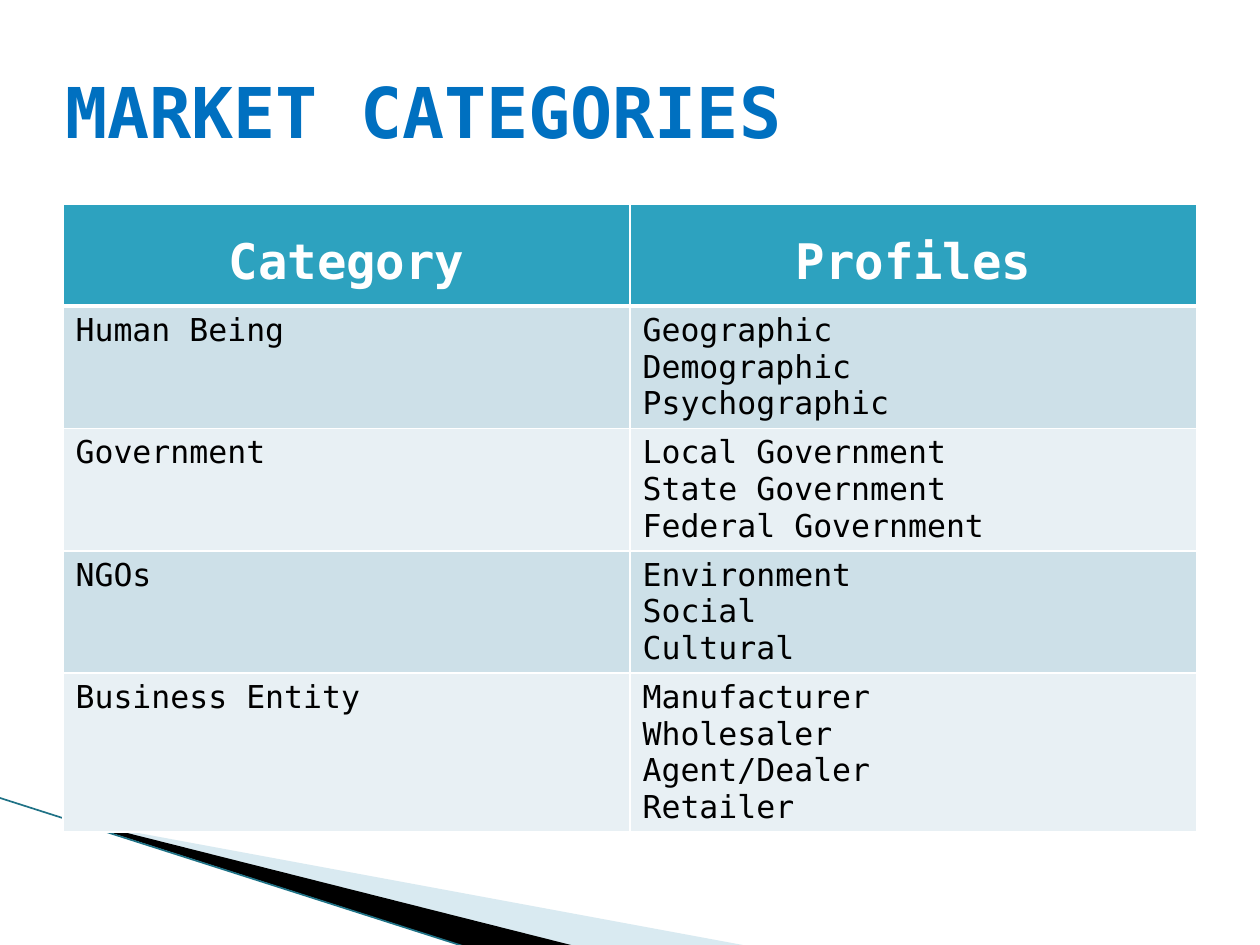
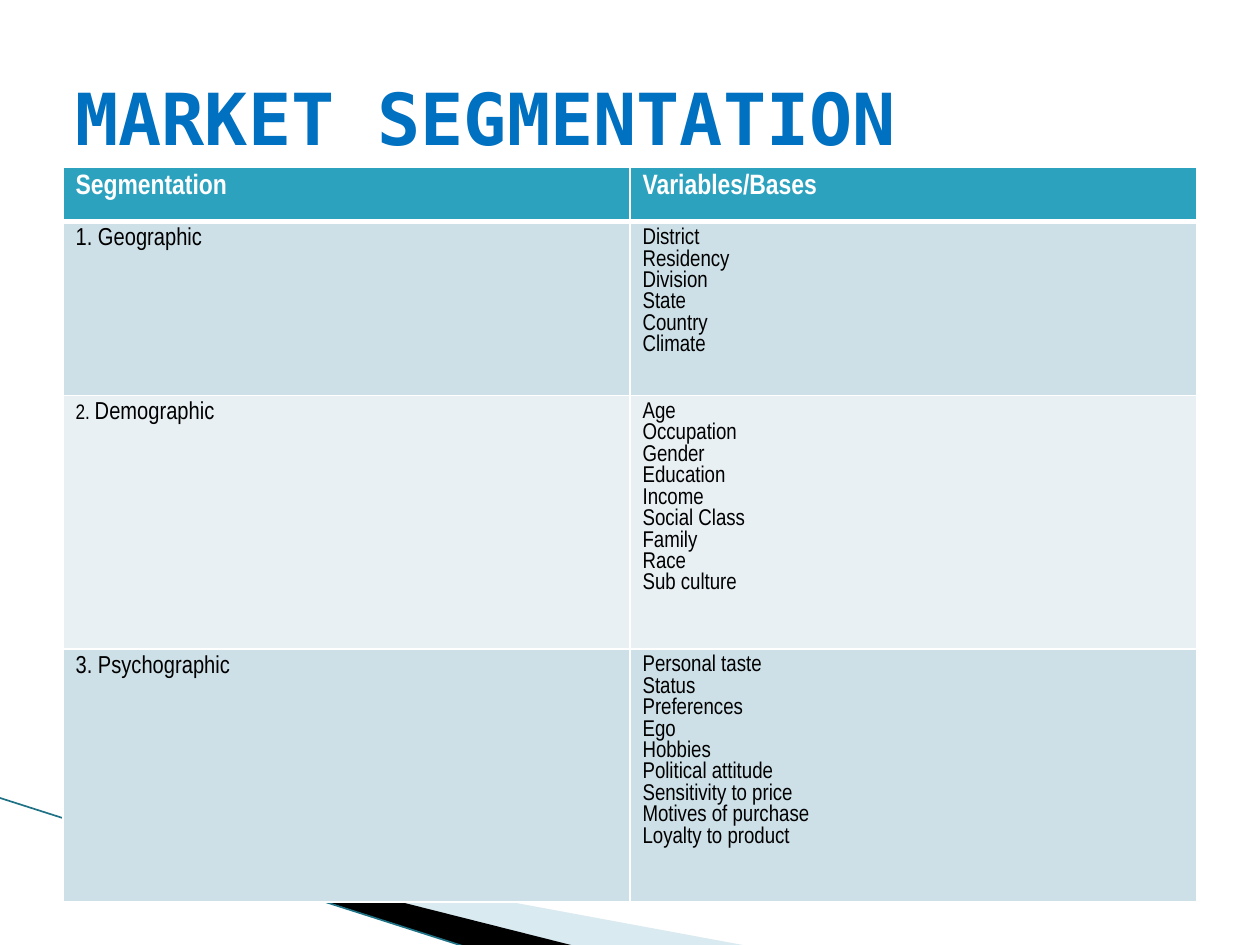
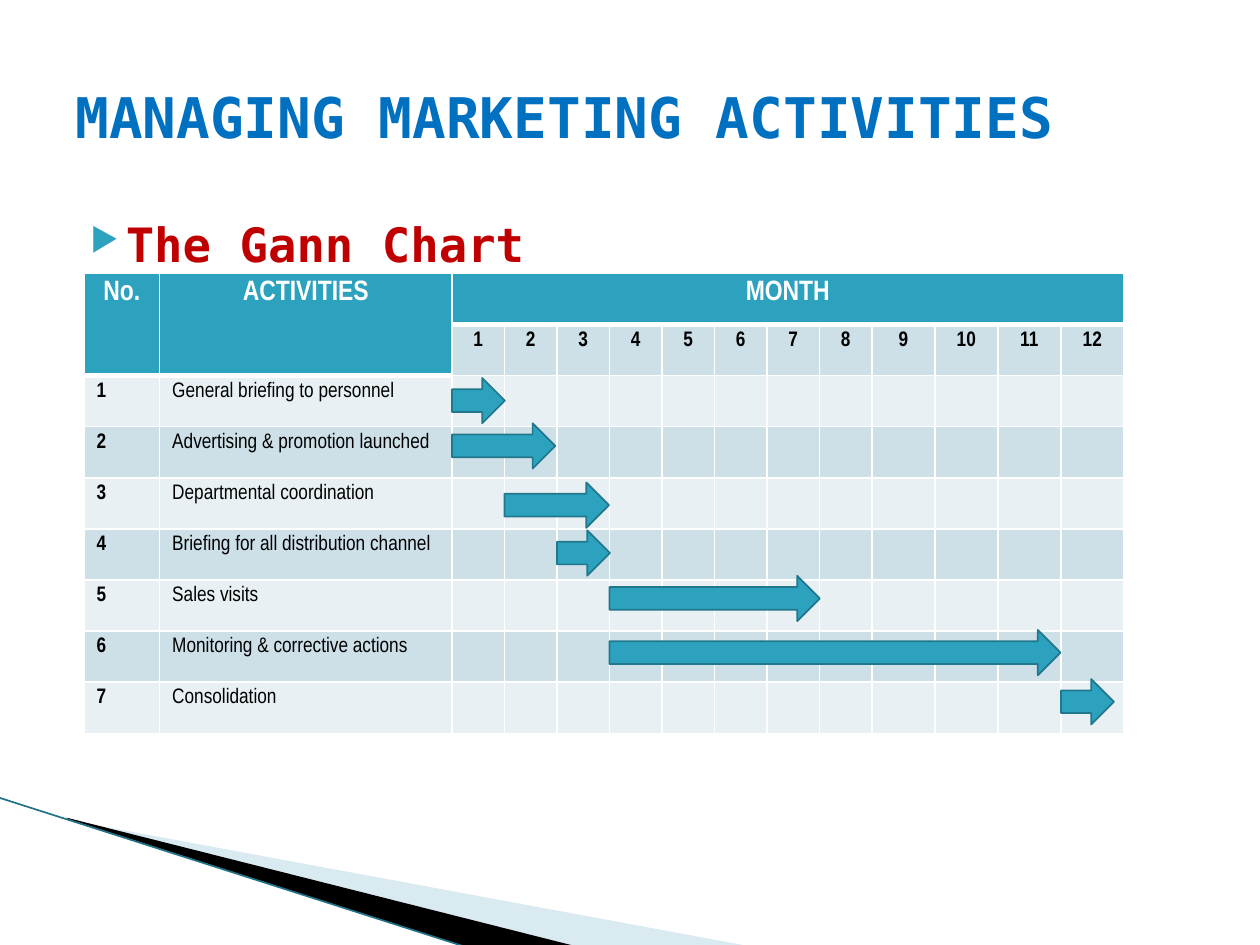
from itertools import accumulate

from lxml import etree
from pptx import Presentation
from pptx import util as u
from pptx.dml.color import RGBColor
from pptx.enum import shapes, text
from pptx.oxml.ns import qn

COLORS = {
    "title": "0070C0", "heading": "C00000", "teal": "2DA2BF", "edge": "21788D",
    "band_dark": "CDE0E8", "band_light": "E8F0F4", "white": "FFFFFF",
    "black": "000000", "wedge": "A0CBDC", "swoosh": "1F7286",
}
MONO, NARROW = "DejaVu Sans Mono", "Arial Narrow"
CENTER = text.PP_ALIGN.CENTER

# The grid: 100 columns by 75 rows of square units
COLUMNS, ROWS = 100, 75
UNIT = u.Inches(0.1)

CATEGORIES = [
    ("Human Being", ["Geographic", "Demographic", "Psychographic"]),
    ("Government", ["Local Government", "State Government", "Federal Government"]),
    ("NGOs", ["Environment", "Social", "Cultural"]),
    ("Business Entity", ["Manufacturer", "Wholesaler", "Agent/Dealer", "Retailer"]),
]
SEGMENTS = [
    ([("1. Geographic", 14)],
     ["District", "Residency", "Division", "State", "Country", "Climate"]),
    ([("2. ", 12), ("Demographic", 14)],
     ["Age", "Occupation", "Gender", "Education", "Income", "Social Class",
      "Family", "Race", "Sub culture"]),
    ([("3. Psychographic", 14)],
     ["Personal taste", "Status", "Preferences", "Ego", "Hobbies",
      "Political attitude", "Sensitivity to price", "Motives of purchase",
      "Loyalty to product"]),
]
# Activity, arrow top, first month, arrow length
ACTIVITIES = [
    ("General briefing to personnel", 30, 1, 4.2),
    ("Advertising & promotion launched", 33.6, 1, 8.2),
    ("Departmental coordination", 38.3, 2, 8.3),
    ("Briefing for all distribution channel", 42.1, 3, 4.2),
    ("Sales visits", 45.7, 4, 16.7),
    ("Monitoring & corrective actions", 50, 4, 35.8),
    ("Consolidation", 53.9, 12, 4.2),
]


def grid(*units):
    return [round(n * UNIT) for n in units]


def rgb(name):
    return RGBColor.from_string(COLORS[name])


def paint(shape, fill, line=None):
    shape.shadow.inherit = False
    shape.fill.solid()
    shape.fill.fore_color.rgb = rgb(fill)
    if line:
        shape.line.color.rgb = rgb(line)
        shape.line.width = u.Pt(1)
    else:
        shape.line.fill.background()


def write(frame, lines, size=18, color="black", font=MONO, bold=False, align=None):
    """Fill a frame; a line is a string or a list of (text, size) spans."""
    for index, line in enumerate(lines):
        para = frame.add_paragraph() if index else frame.paragraphs[0]
        para.alignment = align
        for words, points in [(line, size)] if isinstance(line, str) else line:
            span = para.add_run()
            span.text = words
            span.font.size = u.Pt(points)
            span.font.name = font
            span.font.bold = bold
            span.font.color.rgb = rgb(color)


def add_box(page, place):
    box = page.shapes.add_textbox(*grid(*place))
    box.text_frame.word_wrap = True
    return box.text_frame


def add_title(page, words, size, left=5, top=3):
    frame = add_box(page, (left, top, 90, 12.5))
    frame.vertical_anchor = text.MSO_ANCHOR.MIDDLE
    write(frame, [words], size, "title", bold=True)


def add_wedge(page, points, fill, opacity=None):
    corners = [grid(*point) for point in points]
    builder = page.shapes.build_freeform(*corners[0], scale=1.0)
    builder.add_line_segments(corners[1:], close=True)
    wedge = builder.convert_to_shape()
    paint(wedge, fill)
    if opacity:
        color = wedge.fill._xPr.find(".//" + qn("a:srgbClr"))
        etree.SubElement(color, qn("a:alpha"), val=str(opacity * 1000))


def add_page(deck):
    """Add a blank page with the wedges at the lower left."""
    page = deck.slides.add_slide(deck.slide_layouts[6])
    add_wedge(page, [(5.5, 65.1), (59.5, 75.1), (45.6, 75.1), (5.5, 65)], "wedge", 40)
    add_wedge(page, [(5.3, 64.9), (45.7, 75.1), (37.2, 75.2), (5.4, 65)], "black")
    line = page.shapes.add_connector(
        shapes.MSO_CONNECTOR.STRAIGHT, *grid(-0.1, 63.3, 37.1, 75.2))
    line.line.color.rgb = rgb("swoosh")
    line.line.width = u.Pt(0.95)
    etree.SubElement(line._element.spPr, qn("a:effectLst"))
    return page


def style_cell(cell, fill, top=1, bottom=1):
    properties = cell._tc.get_or_add_tcPr()
    for side, width in (("L", 1), ("R", 1), ("T", top), ("B", bottom)):
        border = etree.SubElement(properties, qn("a:ln" + side), w=str(u.Pt(width)))
        solid = etree.SubElement(border, qn("a:solidFill"))
        etree.SubElement(solid, qn("a:srgbClr"), val=COLORS["white"])
    cell.fill.solid()
    cell.fill.fore_color.rgb = rgb(fill)


def add_table(page, left, top, widths, heights, tall_header=0):
    """Add a banded table; the first tall_header columns have a two-row header."""
    frame = page.shapes.add_table(
        len(heights), len(widths), *grid(left, top, sum(widths), sum(heights)))
    table = frame.table
    for column, width in zip(table.columns, grid(*widths)):
        column.width = width
    for row, height in zip(table.rows, grid(*heights)):
        row.height = height
    for r in range(len(heights)):
        for c in range(len(widths)):
            last_header = 1 if c < tall_header else 0
            band = "band_dark" if r % 2 else "band_light"
            style_cell(table.cell(r, c), "teal" if r <= last_header else band,
                       top=3 if r == last_header + 1 else 1,
                       bottom=3 if r <= last_header else 1)
    for c in range(tall_header):
        table.cell(0, c).merge(table.cell(1, c))
    return table


def add_list_table(page, top, heights, headers, rows, header_format, left_format, right_format):
    table = add_table(page, 5, top, [45, 45], heights)
    for c, header in enumerate(headers):
        write(table.cell(0, c).text_frame, [header], color="white", bold=True, **header_format)
    for r, (name, items) in enumerate(rows, start=1):
        write(table.cell(r, 0).text_frame, [name], **left_format)
        write(table.cell(r, 1).text_frame, items, **right_format)
    return table


def add_categories(deck):
    page = add_page(deck)
    heights = [8.1] + [1 + 2.9 * len(items) for _, items in CATEGORIES]
    table = add_list_table(page, 16.2, heights, ["Category", "Profiles"], CATEGORIES,
                           {"size": 28, "align": CENTER}, {}, {})
    for c in range(2):
        table.cell(0, c).margin_top = u.Inches(0.24)
    add_title(page, "MARKET CATEGORIES", 40, left=4.2, top=2.5)


def add_segmentation(deck):
    page = add_page(deck)
    add_list_table(page, 13.3, [4.3, 13.8, 20.1, 20.1], ["Segmentation", "Variables/Bases"],
                   SEGMENTS, {"size": 16, "font": NARROW}, {"font": NARROW},
                   {"size": 13, "font": NARROW})
    add_title(page, "MARKET SEGMENTATION", 41)


def add_bullet_heading(page, words):
    frame = add_box(page, (5, 16.6, 90, 49.5))
    properties = frame.paragraphs[0]._p.get_or_add_pPr()
    properties.set("marL", str(u.Inches(0.4)))
    properties.set("indent", str(u.Inches(-0.28)))
    color = etree.SubElement(properties, qn("a:buClr"))
    etree.SubElement(color, qn("a:srgbClr"), val=COLORS["teal"])
    etree.SubElement(properties, qn("a:buSzPct"), val="68000")
    etree.SubElement(properties, qn("a:buChar"), char="▶")
    write(frame, [words], 27, "heading", bold=True)


def add_schedule(deck):
    page = add_page(deck)
    add_bullet_heading(page, "The Gann Chart")
    add_title(page, "MANAGING MARKETING ACTIVITIES", 32)

    # Table: number, activity and twelve months
    left, labels = 6.67, [6, 23.2]
    months = [50 / 12] * 8 + [5] * 4
    table = add_table(page, left, 21.7, labels + months, [36.5 / 9] * 9, tall_header=2)
    table.cell(0, 2).merge(table.cell(0, 13))
    for c, header in enumerate(["No.", "ACTIVITIES", "MONTH"]):
        write(table.cell(0, c).text_frame, [header], 16, "white", NARROW, True, CENTER)
    for month in range(1, 13):
        write(table.cell(1, month + 1).text_frame, [str(month)], 12,
              font=NARROW, bold=True, align=CENTER)

    # One row and one arrow for each activity
    month_edges = list(accumulate(months, initial=left + sum(labels)))
    for number, (name, top, first_month, length) in enumerate(ACTIVITIES, start=1):
        write(table.cell(number + 1, 0).text_frame, [str(number)], 12, font=NARROW, bold=True)
        write(table.cell(number + 1, 1).text_frame, [name], 12, font=NARROW)
        arrow = page.shapes.add_shape(
            shapes.MSO_SHAPE.RIGHT_ARROW,
            *grid(month_edges[first_month - 1], top, length, 3.6))
        paint(arrow, "teal", "edge")


def main():
    deck = Presentation()
    deck.slide_width, deck.slide_height = COLUMNS * UNIT, ROWS * UNIT
    add_categories(deck)
    add_segmentation(deck)
    add_schedule(deck)
    deck.save("out.pptx")


if __name__ == "__main__":
    main()
